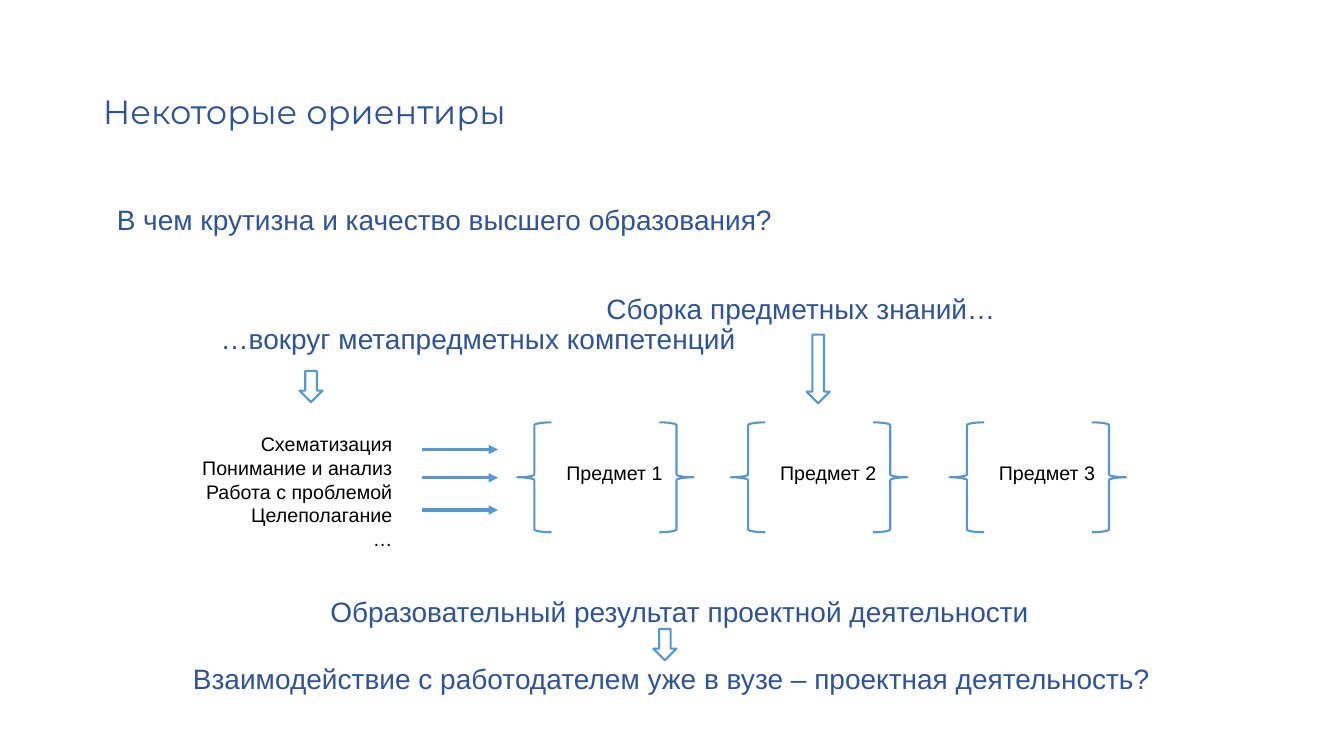
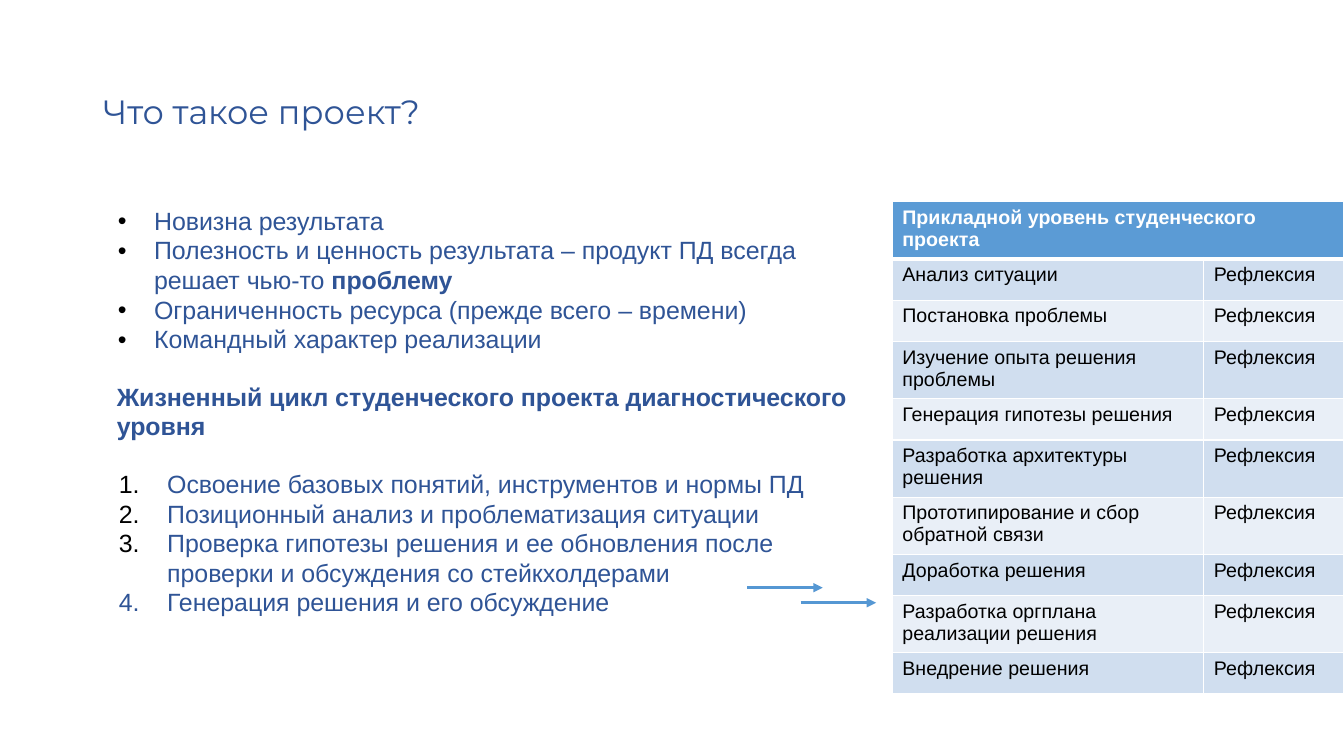
from lxml import etree
from pptx import Presentation
from pptx import util as u
from pptx.dml.color import RGBColor
from pptx.enum import shapes, text
from pptx.oxml import ns

PX = 9144
NAVY = RGBColor(0x2F, 0x54, 0x96)
BLUE = RGBColor(0x55, 0x97, 0xD3)
HEADER_BLUE = RGBColor(0x5B, 0x9B, 0xD5)
BANDS = RGBColor(0xD0, 0xDE, 0xEF), RGBColor(0xE9, 0xEF, 0xF7)
BLACK = RGBColor(0, 0, 0)
WHITE = RGBColor(255, 255, 255)

LEFT, CENTER, RIGHT = text.PP_ALIGN.LEFT, text.PP_ALIGN.CENTER, text.PP_ALIGN.RIGHT
TITLE = {"name": "Montserrat", "size": u.Pt(24), "bold": False}
STATEMENT = {"name": "Arial", "size": u.Pt(20)}
LIST = {"name": "Arial", "size": u.Pt(17.8)}
SMALL = {"name": "Arial", "size": u.Pt(14)}
HEADER = {**SMALL, "bold": True}
HANGING = (25, -11)

STATEMENTS = [
    ((92, 200, 1150, 45), [("В чем крутизна и качество высшего образования?", LEFT)]),
    ((195, 288, 810, 96), [("Сборка предметных знаний… ", RIGHT),
                           ("…вокруг метапредметных компетенций", LEFT)]),
    ((92, 589, 1150, 45), [("Образовательный результат проектной деятельности", CENTER)]),
    ((84, 655, 1150, 45),
     [("Взаимодействие с работодателем уже в вузе – проектная деятельность?", CENTER)]),
]
COMPETENCES = ["Схематизация", "Понимание и анализ", "Работа с проблемой", "Целеполагание", "…"]
SUBJECTS = [("Предмет 1", 513), ("Предмет 2", 725), ("Предмет 3", 942)]
DOWN_ARROWS = [(297, 368, 23, 31), (800, 332, 23, 68), (648, 624, 23, 31)]
COMPETENCE_ARROWS = [(419, 446), (419, 474), (419, 506)]
CYCLE_ARROWS = [(794, 598), (741, 583)]
ARROW_LENGTH = 75

FEATURES = [
    [("Новизна результата", False)],
    [("Полезность и ценность результата – продукт ПД всегда решает чью-то", False),
     (" проблему", True)],
    [("Ограниченность ресурса (прежде всего – времени)", False)],
    [("Командный характер реализации", False)],
]
CYCLE_HEADING = "Жизненный цикл студенческого проекта диагностического уровня"
CYCLE_STEPS = [
    ("Освоение базовых понятий, инструментов и нормы ПД", BLACK),
    ("Позиционный анализ и проблематизация ситуации", BLACK),
    ("Проверка гипотезы решения и ее обновления после проверки и обсуждения со стейкхолдерами",
     BLACK),
    ("Генерация решения и его обсуждение", NAVY),
]
TABLE_HEADER = "Прикладной уровень студенческого проекта"
STAGES = [
    "Анализ ситуации", "Постановка проблемы", "Изучение опыта решения проблемы",
    "Генерация гипотезы решения", "Разработка архитектуры решения",
    "Прототипирование и сбор обратной связи", "Доработка решения",
    "Разработка оргплана реализации решения", "Внедрение решения",
]
REFLECTION = "Рефлексия"
COLUMN_WIDTHS = [309, 139]
ROW_HEIGHT = 41


def px(*values):
    return [value * PX for value in values]


def apply(target, values):
    for name, value in values.items():
        setattr(target, name, value)


def add_child(parent, tag, **attributes):
    return etree.SubElement(parent, ns.qn(tag), attributes)


def write(paragraph, runs, style, color, alignment=LEFT, spacing=1.0, indent=None, before=0):
    apply(paragraph, {"alignment": alignment, "line_spacing": spacing,
                      "space_before": u.Pt(before)})
    for content, bold in runs:
        run = paragraph.add_run()
        run.text = content
        apply(run.font, {"bold": bold, **style})
        run.font.color.rgb = color
    if indent:
        margin, first = px(*indent)
        properties = paragraph._p.get_or_add_pPr()
        properties.set("marL", str(margin))
        properties.set("indent", str(first))


def add_marker(paragraph, color, tag, **attributes):
    properties = paragraph._p.get_or_add_pPr()
    add_child(add_child(properties, "a:buClr"), "a:srgbClr", val=str(color))
    add_child(properties, "a:buFont", typeface="Arial")
    add_child(properties, tag, **attributes)


def paragraphs(frame, count):
    return [frame.paragraphs[0]] + [frame.add_paragraph() for _ in range(count - 1)]


def add_text_frame(slide, box):
    frame = slide.shapes.add_textbox(*px(*box)).text_frame
    frame.word_wrap = True
    return frame


def add_slide(presentation, title, width):
    slide = presentation.slides.add_slide(presentation.slide_layouts[5])
    shape = slide.shapes.title
    apply(shape, dict(zip(("left", "top", "width", "height"), px(92, 40, width, 145))))
    apply(shape.text_frame, {"word_wrap": True, "auto_size": text.MSO_AUTO_SIZE.NONE,
                             "vertical_anchor": text.MSO_ANCHOR.MIDDLE})
    write(shape.text_frame.paragraphs[0], [(title, False)], TITLE, NAVY, spacing=0.9)
    return slide


def add_outline(slide, kind, box, flipped=False):
    shape = slide.shapes.add_shape(kind, *px(*box))
    shape.shadow.inherit = False
    shape.fill.background()
    shape.line.color.rgb = BLUE
    shape.line.width = u.Pt(1.5)
    if flipped:
        shape._element.spPr.xfrm.set("flipH", "1")


def add_arrows(slide, starts):
    for left, top in starts:
        arrow = slide.shapes.add_connector(
            shapes.MSO_CONNECTOR.STRAIGHT, *px(left, top, left + ARROW_LENGTH, top))
        arrow.line.color.rgb = BLUE
        arrow.line.width = u.Pt(2.25)
        add_child(arrow.line._get_or_add_ln(), "a:tailEnd", type="triangle")
        add_child(arrow._element.spPr, "a:effectLst")


def fill_cell(cell, content, style, color, fill, bottom=1):
    write(cell.text_frame.paragraphs[0], [(content, style.get("bold", False))], style, color)
    properties = cell._tc.get_or_add_tcPr()
    for side, width in (("L", 1), ("R", 1), ("T", 1), ("B", bottom)):
        border = add_child(properties, f"a:ln{side}", w=str(u.Pt(width)))
        add_child(add_child(border, "a:solidFill"), "a:srgbClr", val=str(WHITE))
    cell.fill.solid()
    cell.fill.fore_color.rgb = fill


def build_guidelines(presentation):
    slide = add_slide(presentation, "Некоторые ориентиры", 1150)
    for box, lines in STATEMENTS:
        frame = add_text_frame(slide, box)
        for paragraph, (line, alignment) in zip(paragraphs(frame, len(lines)), lines):
            write(paragraph, [(line, False)], STATEMENT, NAVY, alignment, 0.9, HANGING)
    frame = add_text_frame(slide, (154, 424, 245, 162))
    for paragraph, line in zip(paragraphs(frame, len(COMPETENCES)), COMPETENCES):
        write(paragraph, [(line, False)], SMALL, BLACK, RIGHT)
    add_arrows(slide, COMPETENCE_ARROWS)
    for subject, left in SUBJECTS:
        for offset, flipped in ((0, False), (141, True)):
            add_outline(slide, shapes.MSO_SHAPE.LEFT_BRACE, (left + offset, 419, 34, 109), flipped)
        frame = add_text_frame(slide, (left + 20, 452, 134, 40))
        write(frame.paragraphs[0], [(subject, False)], SMALL, BLACK, RIGHT)
    for box in DOWN_ARROWS:
        add_outline(slide, shapes.MSO_SHAPE.DOWN_ARROW, box)


def build_project(presentation):
    slide = add_slide(presentation, "Что такое проект?", 709)
    frame = add_text_frame(slide, (92, 200, 786, 521))
    items = [(runs, (51, -36), 0, BLACK, ("a:buChar", {"char": "•"})) for runs in FEATURES]
    items.append(([(CYCLE_HEADING, True)], (14, 0), 20, None, None))
    items += [([(step, False)], (64, -48), 0 if index else 20, color,
               ("a:buAutoNum", {"type": "arabicPeriod"}))
              for index, (step, color) in enumerate(CYCLE_STEPS)]
    for paragraph, item in zip(paragraphs(frame, len(items)), items):
        runs, indent, before, color, marker = item
        write(paragraph, runs, LIST, NAVY, spacing=0.99, indent=indent, before=before)
        if marker:
            add_marker(paragraph, color, marker[0], **marker[1])

    rows = len(STAGES) + 1
    table = slide.shapes.add_table(
        rows, 2, *px(885, 200, sum(COLUMN_WIDTHS), rows * ROW_HEIGHT)).table
    for column, width in zip(table.columns, COLUMN_WIDTHS):
        column.width = width * PX
    for row in table.rows:
        row.height = ROW_HEIGHT * PX
    table.cell(0, 0).merge(table.cell(0, 1))
    fill_cell(table.cell(0, 0), TABLE_HEADER, HEADER, WHITE, HEADER_BLUE, bottom=3)
    for index, stage in enumerate(STAGES):
        for column, content in enumerate((stage, REFLECTION)):
            fill_cell(table.cell(index + 1, column), content, SMALL, BLACK, BANDS[index % 2])
    add_arrows(slide, CYCLE_ARROWS)


def main():
    presentation = Presentation()
    apply(presentation, {"slide_width": 1333 * PX, "slide_height": 750 * PX})
    build_guidelines(presentation)
    build_project(presentation)
    presentation.save("out.pptx")


if __name__ == "__main__":
    main()
